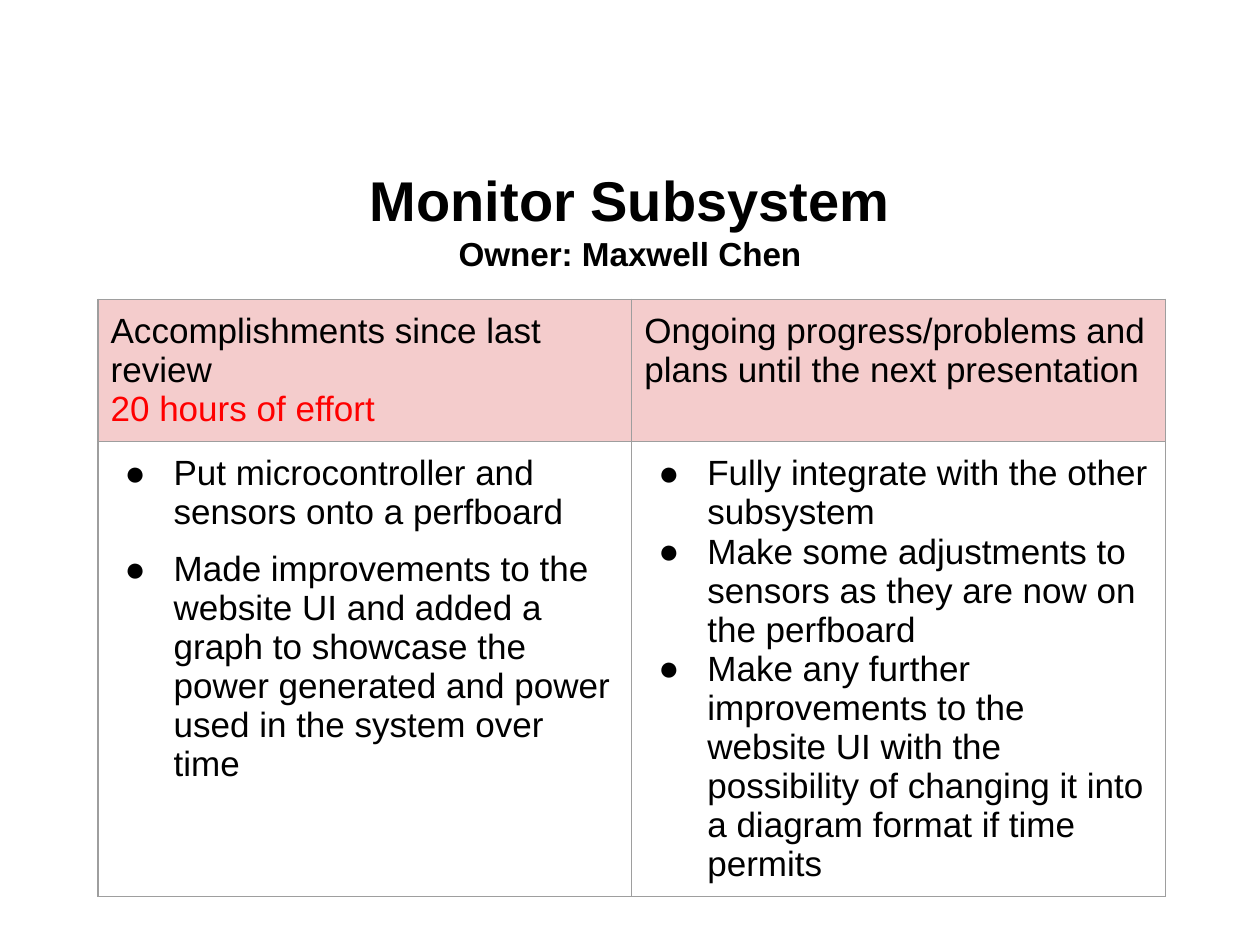
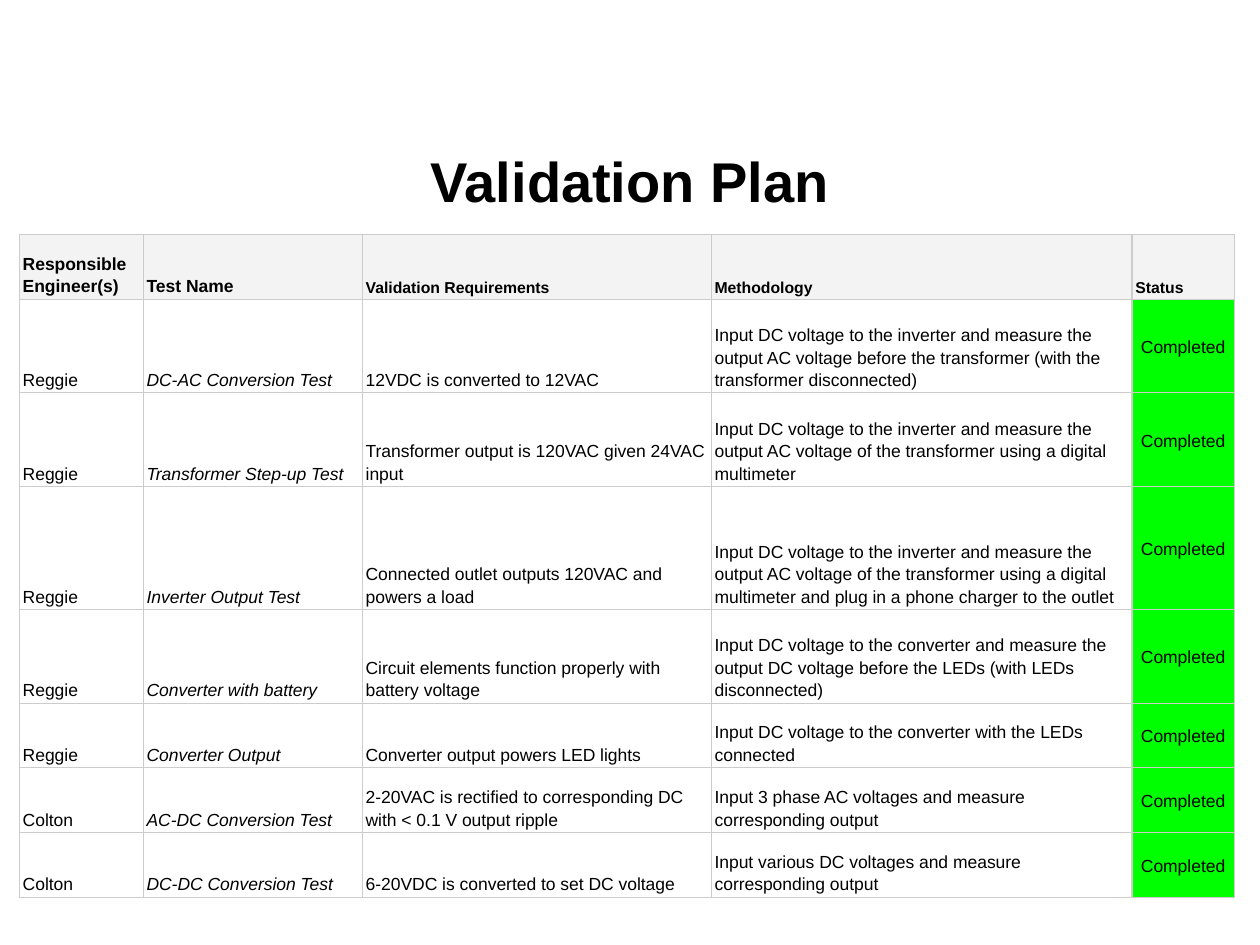
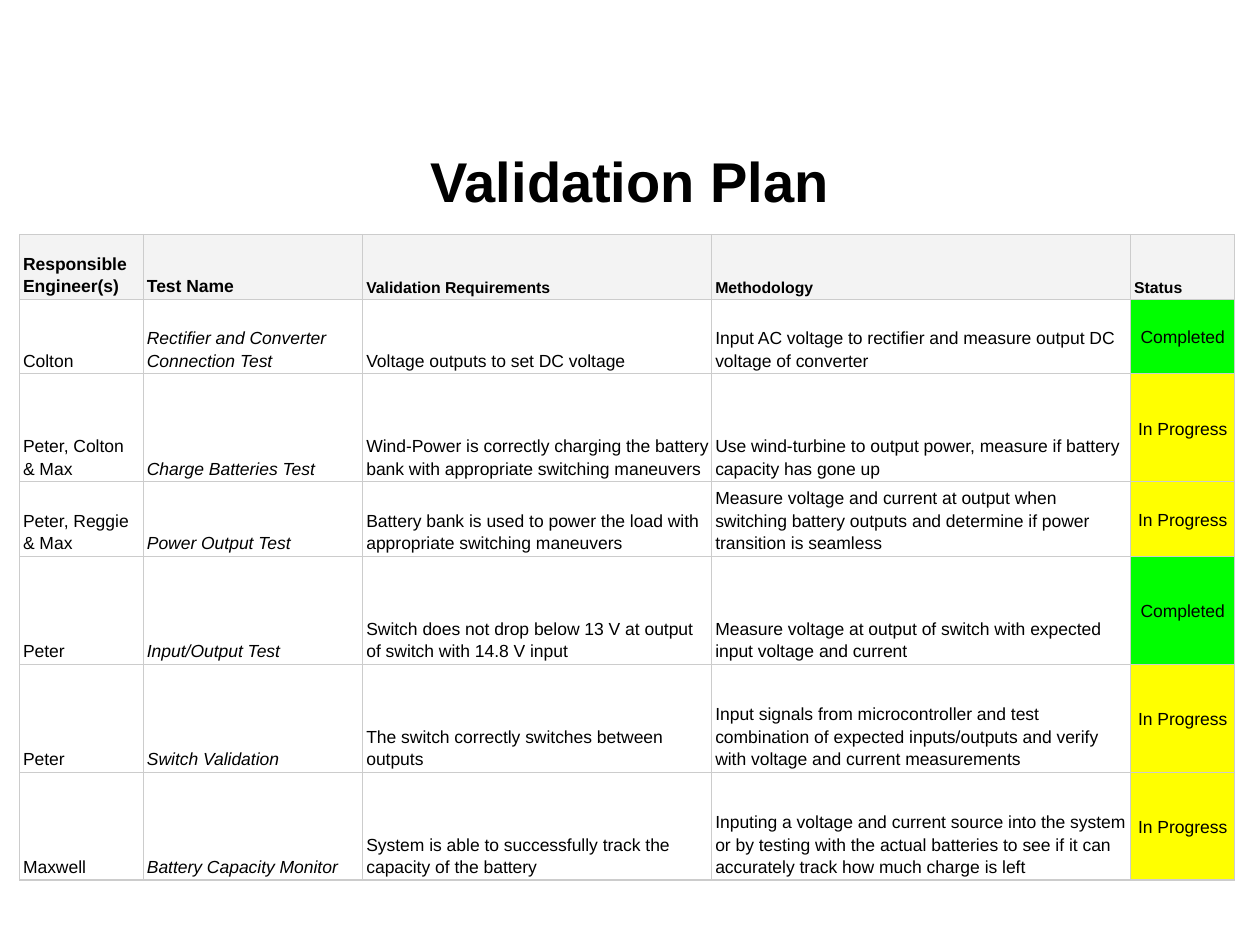
from dataclasses import dataclass

import lxml.etree
import pptx
import pptx.dml.color
import pptx.enum.text
import pptx.oxml.ns
import pptx.util

Pt = pptx.util.Pt
RGB = pptx.dml.color.RGBColor.from_string
ALIGN = pptx.enum.text.PP_ALIGN
ANCHOR = pptx.enum.text.MSO_ANCHOR


@dataclass(frozen=True)
class Theme:
    font: str = "Arial"
    text: str = "000000"
    effort: str = "FF0000"
    review_header: str = "F4CCCC"
    review_border: str = "9E9E9E"
    plan_header: str = "F3F3F3"
    plan_border: str = "CCCCCC"
    title_size: float = 32
    owner_size: float = 19
    review_size: float = 20
    plan_size: float = 10
    plan_small_size: float = 9


THEME = Theme()
STATUS_FILLS = {"Completed": "00FF00", "In Progress": "FFFF00"}

REVIEW_HEADERS = [
    ["Accomplishments since last review", "20 hours of effort"],
    ["Ongoing progress/problems and plans until the next presentation"],
]
ACCOMPLISHMENTS = [
    "Put microcontroller and sensors onto a perfboard",
    "Made improvements to the website UI and added a graph to showcase the "
    "power generated and power used in the system over time",
]
PLANS = [
    "Fully integrate with the other subsystem",
    "Make some adjustments to sensors as they are now on the perfboard",
    "Make any further improvements to the website UI with the possibility of "
    "changing it into a diagram format if time permits",
]

PLAN_HEADERS = ["Responsible Engineer(s)", "Test Name",
                "Validation Requirements", "Methodology", "Status"]
CONVERSION_TESTS = [
    ("Reggie", "DC-AC Conversion Test", "12VDC is converted to 12VAC",
     "Input DC voltage to the inverter and measure the output AC voltage before "
     "the transformer (with the transformer disconnected)", "Completed"),
    ("Reggie", "Transformer Step-up Test",
     "Transformer output is 120VAC given 24VAC\ninput",
     "Input DC voltage to the inverter and measure the output AC voltage of the "
     "transformer using a digital multimeter", "Completed"),
    ("Reggie", "Inverter Output Test",
     "Connected outlet outputs 120VAC and powers a load",
     "Input DC voltage to the inverter and measure the output AC voltage of the "
     "transformer using a digital multimeter and plug in a phone charger to the "
     "outlet", "Completed"),
    ("Reggie", "Converter with battery",
     "Circuit elements function properly with battery voltage",
     "Input DC voltage to the converter and measure the output DC voltage before "
     "the LEDs (with LEDs disconnected)", "Completed"),
    ("Reggie", "Converter Output", "Converter output powers LED lights",
     "Input DC voltage to the converter with the LEDs connected", "Completed"),
    ("Colton", "AC-DC Conversion Test",
     "2-20VAC is rectified to corresponding DC with < 0.1 V output ripple",
     "Input 3 phase AC voltages and measure corresponding output", "Completed"),
    ("Colton", "DC-DC Conversion Test", "6-20VDC is converted to set DC voltage",
     "Input various DC voltages and measure corresponding output", "Completed"),
]
SYSTEM_TESTS = [
    ("Colton", "Rectifier and Converter Connection Test",
     "Voltage outputs to set DC voltage",
     "Input AC voltage to rectifier and measure output DC voltage of converter",
     "Completed"),
    ("Peter, Colton & Max", "Charge Batteries Test",
     "Wind-Power is correctly charging the battery bank with appropriate "
     "switching maneuvers",
     "Use wind-turbine to output power, measure if battery capacity has gone up",
     "In Progress"),
    ("Peter, Reggie & Max", "Power Output Test",
     "Battery bank is used to power the load with appropriate switching maneuvers",
     "Measure voltage and current at output when switching battery outputs and "
     "determine if power transition is seamless", "In Progress"),
    ("Peter", "Input/Output Test",
     "Switch does not drop below 13 V at output of switch with 14.8 V input",
     "Measure voltage at output of switch with expected input voltage and current",
     "Completed"),
    ("Peter", "Switch Validation", "The switch correctly switches between outputs",
     "Input signals from microcontroller and test combination of expected "
     "inputs/outputs and verify with voltage and current measurements",
     "In Progress"),
    ("Maxwell", "Battery Capacity Monitor",
     "System is able to successfully track the capacity of the battery",
     "Inputing a voltage and current source into the system or by testing with "
     "the actual batteries to see if it can accurately track how much charge is "
     "left", "In Progress"),
]


def add_element(parent, tag, **attributes):
    return lxml.etree.SubElement(parent, pptx.oxml.ns.qn(tag), attributes)


def style_paragraph(p, size, color=THEME.text, bold=False, italic=False):
    p.font.name = THEME.font
    p.font.size = Pt(size)
    p.font.color.rgb = RGB(color)
    p.font.bold = bold
    p.font.italic = italic


def write_lines(tf, lines):
    """Put each line in its own paragraph and return the paragraphs."""
    tf.text = "\n".join(lines)
    return tf.paragraphs


def add_bullet(p):
    pPr = p._p.get_or_add_pPr()
    pPr.set("marL", str(Pt(36)))
    pPr.set("indent", str(Pt(-28)))
    add_element(add_element(pPr, "a:buClr"), "a:srgbClr", val=THEME.text)
    add_element(pPr, "a:buFont", typeface=THEME.font)
    add_element(pPr, "a:buChar", char="●")


def add_titled_slide(prs, top, height, title, owner=None):
    slide = prs.slides.add_slide(prs.slide_layouts[5])
    sp = slide.shapes.title
    sp.left, sp.top, sp.width, sp.height = Pt(36), Pt(top), Pt(648), Pt(height)
    tf = sp.text_frame
    tf.auto_size = pptx.enum.text.MSO_AUTO_SIZE.NONE
    tf.vertical_anchor = ANCHOR.MIDDLE
    lines = [title, owner] if owner else [title]
    for p, size in zip(write_lines(tf, lines), (THEME.title_size, THEME.owner_size)):
        p.alignment = ALIGN.CENTER
        style_paragraph(p, size, bold=True)
    return slide


def add_grid(slide, left, top, widths, heights):
    frame = slide.shapes.add_table(len(heights), len(widths), Pt(left), Pt(top),
                                   Pt(sum(widths)), Pt(sum(heights)))
    table = frame.table
    table.horz_banding = False
    for column, width in zip(table.columns, widths):
        column.width = Pt(width)
    for row, height in zip(table.rows, heights):
        row.height = Pt(height)
    return table


def format_cell(cell, border, fill, inset_x, inset_y, anchor=ANCHOR.TOP):
    cell.margin_left = cell.margin_right = Pt(inset_x)
    cell.margin_top = cell.margin_bottom = Pt(inset_y)
    cell.vertical_anchor = anchor
    tcPr = cell._tc.get_or_add_tcPr()
    for side in ("a:lnL", "a:lnR", "a:lnT", "a:lnB"):
        line = add_element(tcPr, side, w=str(Pt(0.75)))
        add_element(add_element(line, "a:solidFill"), "a:srgbClr", val=border)
    if fill:
        cell.fill.solid()
        cell.fill.fore_color.rgb = RGB(fill)
    else:
        cell.fill.background()


def add_review_table(slide):
    table = add_grid(slide, 56, 171, [305, 305], [68, 256])
    for i, lines in enumerate(REVIEW_HEADERS):
        cell = table.cell(0, i)
        format_cell(cell, THEME.review_border, THEME.review_header, 7.2, 7.2)
        paragraphs = write_lines(cell.text_frame, lines)
        for p, color in zip(paragraphs, (THEME.text, THEME.effort)):
            style_paragraph(p, THEME.review_size, color)
    for i, (lines, gap) in enumerate([(ACCOMPLISHMENTS, 10), (PLANS, 0)]):
        cell = table.cell(1, i)
        format_cell(cell, THEME.review_border, None, 7.2, 7.2)
        for j, p in enumerate(write_lines(cell.text_frame, lines)):
            add_bullet(p)
            p.space_before = Pt(gap if j else 0)
            style_paragraph(p, THEME.review_size)


def fill_plan_cell(cell, text, size, fill=None, status=False, **style):
    format_cell(cell, THEME.plan_border, fill, 2, 1.5,
                ANCHOR.MIDDLE if status else ANCHOR.BOTTOM)
    for p in write_lines(cell.text_frame, text.split("\n")):
        p.line_spacing = 1.15
        p.alignment = ALIGN.CENTER if status else ALIGN.LEFT
        style_paragraph(p, size, **style)


def add_plan_slide(prs, tests, left, widths, heights):
    slide = add_titled_slide(prs, 71.3, 63.4, "Validation Plan")
    table = add_grid(slide, left, 134, widths, heights)
    for i, header in enumerate(PLAN_HEADERS):
        size = THEME.plan_size if i < 2 else THEME.plan_small_size
        fill_plan_cell(table.cell(0, i), header, size, THEME.plan_header, bold=True)
    for i, test in enumerate(tests, start=1):
        for j, text in enumerate(test):
            status = PLAN_HEADERS[j] == "Status"
            fill_plan_cell(table.cell(i, j), text, THEME.plan_size,
                           STATUS_FILLS[text] if status else None, status,
                           italic=PLAN_HEADERS[j] == "Test Name")


def main():
    prs = pptx.Presentation()
    prs.slide_width, prs.slide_height = Pt(720), Pt(540)

    review = add_titled_slide(prs, 82.8, 85, "Monitor Subsystem",
                              "Owner: Maxwell Chen")
    add_review_table(review)

    short, medium, tall = 37, 53.5, 70.3
    add_plan_slide(prs, CONVERSION_TESTS, 11, [70.8, 125.2, 199.4, 240.5, 58.4],
                   [short, medium, medium, tall, medium, short, short, short])
    short, medium, tall = 37, 42.6, 61.7
    add_plan_slide(prs, SYSTEM_TESTS, 11.2, [70.8, 125.4, 199.4, 239.4, 59.4],
                   [short, medium, tall, medium, tall, tall, tall])

    prs.save("out.pptx")


if __name__ == "__main__":
    main()
